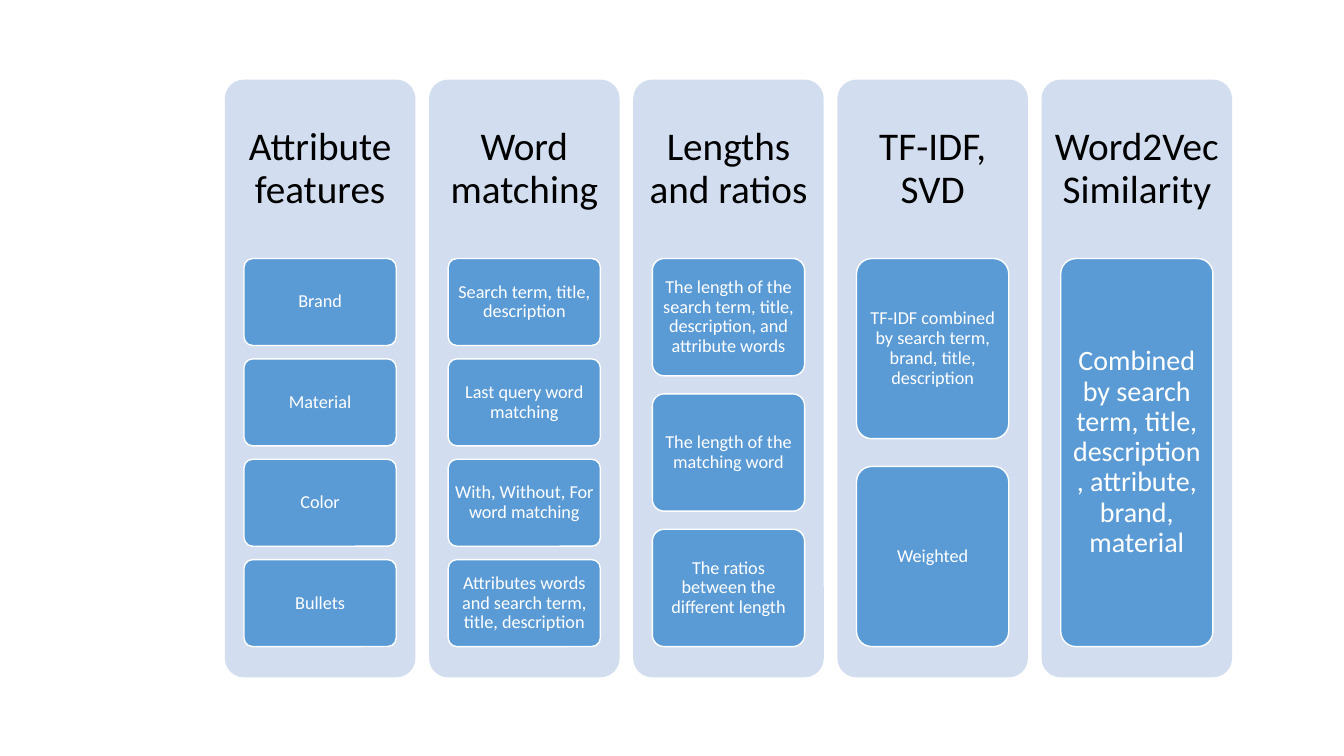
from pptx import Presentation
from pptx.dml.color import RGBColor
from pptx.enum import shapes, text
from pptx import util as u

COLORS = {"panel": "D2DEEF", "feature": "5B9BD5", "light": "FFFFFF", "dark": "000000"}

FEATURE_GROUPS = [
    ("Attribute features", ["Brand", "Material", "Color", "Bullets"]),
    ("Word matching", [
        "Search term, title, description",
        "Last query word matching",
        "With, Without, For word matching",
        "Attributes words and search term, title, description",
    ]),
    ("Lengths and ratios", [
        "The length of the search term, title, description, and attribute words",
        "The length of the matching word",
        "The ratios between the different length",
    ]),
    ("TF-IDF, SVD", [
        "TF-IDF combined by search term, brand, title, description",
        "Weighted",
    ]),
    ("Word2Vec Similarity", [
        "Combined by search term, title, description, attribute, brand, material",
    ]),
]

FIRST_LEFT, LAST_LEFT = 2.23, 10.33
PANEL_TOP, PANEL_WIDTH, PANEL_HEIGHT = 0.79, 1.89, 5.93
HEADING_HEIGHT = 1.78
FEATURE_INDENT, FEATURE_WIDTH = 0.19, 1.51
STACK_TOP, STACK_HEIGHT = 2.565, 3.85
GAP_RATIO = 2 / 13


def color(name):
    return RGBColor.from_string(COLORS[name])


def write(frame, wording, *, size, ink, insets, font="Calibri"):
    frame.word_wrap = True
    frame.auto_size = text.MSO_AUTO_SIZE.NONE
    frame.vertical_anchor = text.MSO_ANCHOR.MIDDLE
    across, down = insets
    frame.margin_left = frame.margin_right = u.Inches(across)
    frame.margin_top = frame.margin_bottom = u.Inches(down)
    paragraph = frame.paragraphs[0]
    paragraph.alignment = text.PP_ALIGN.CENTER
    paragraph.line_spacing = 0.9
    run = paragraph.add_run()
    run.text = wording
    run.font.name = font
    run.font.size = u.Pt(size)
    run.font.color.rgb = color(ink)


class FeatureSlide:
    def __init__(self, slide):
        self.slide = slide

    def rounded(self, left, top, width, height, fill, outline=None):
        box = self.slide.shapes.add_shape(
            shapes.MSO_SHAPE.ROUNDED_RECTANGLE,
            *map(u.Inches, (left, top, width, height)))
        box.adjustments[0] = 0.1
        box.shadow.inherit = False
        box.fill.solid()
        box.fill.fore_color.rgb = color(fill)
        if outline:
            box.line.color.rgb = color(outline)
            box.line.width = u.Pt(1)
        else:
            box.line.fill.background()
        return box

    def panel(self, left):
        self.rounded(left, PANEL_TOP, PANEL_WIDTH, PANEL_HEIGHT, "panel")

    def heading(self, left, wording):
        heading = self.slide.shapes.add_textbox(
            *map(u.Inches, (left, PANEL_TOP, PANEL_WIDTH, HEADING_HEIGHT)))
        write(heading.text_frame, wording, size=28, ink="dark", insets=(0.12, 0.12))

    def features(self, left, wordings):
        count = len(wordings)
        height = STACK_HEIGHT / (count + (count - 1) * GAP_RATIO)
        size, insets = (20, (0.06, 0.04)) if count == 1 else (13, (0.04, 0.03))
        for row, wording in enumerate(wordings):
            top = STACK_TOP + row * height * (1 + GAP_RATIO)
            feature = self.rounded(left + FEATURE_INDENT, top, FEATURE_WIDTH,
                                   height, "feature", outline="light")
            write(feature.text_frame, wording, size=size, ink="light", insets=insets)


def main():
    deck = Presentation()
    deck.slide_width, deck.slide_height = u.Inches(13.33), u.Inches(7.5)
    page = FeatureSlide(deck.slides.add_slide(deck.slide_layouts[6]))
    pitch = (LAST_LEFT - FIRST_LEFT) / (len(FEATURE_GROUPS) - 1)
    for column, (title, wordings) in enumerate(FEATURE_GROUPS):
        left = FIRST_LEFT + column * pitch
        page.panel(left)
        page.heading(left, title)
        page.features(left, wordings)
    deck.save("out.pptx")


if __name__ == "__main__":
    main()
